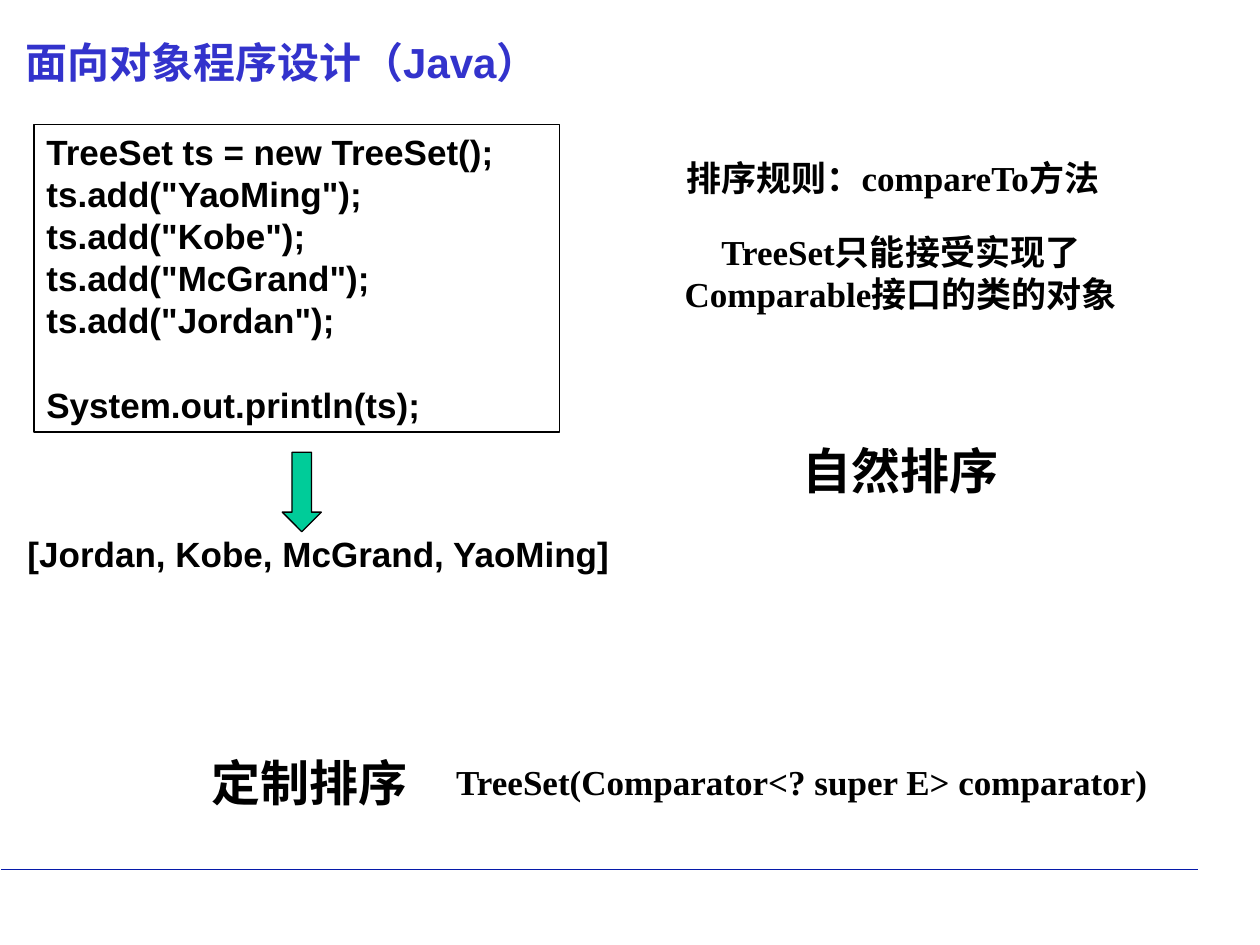
from dataclasses import dataclass

from lxml.etree import SubElement
from pptx import Presentation
from pptx.dml.color import RGBColor
from pptx.enum.shapes import MSO_CONNECTOR, MSO_SHAPE
from pptx.enum.text import MSO_ANCHOR, PP_ALIGN
from pptx.oxml.ns import qn
from pptx.util import Inches, Pt


@dataclass(frozen=True)
class Theme:
    title: RGBColor = RGBColor(0x33, 0x33, 0xCC)
    ink: RGBColor = RGBColor(0x00, 0x00, 0x00)
    arrow: RGBColor = RGBColor(0x00, 0xCC, 0x99)
    rule: RGBColor = RGBColor(0x06, 0x1A, 0xAA)
    sans: str = "Arial"
    serif: str = "Times New Roman"
    title_size: int = 24
    heading_size: int = 28
    body_size: int = 20
    code_pitch: int = 24


THEME = Theme()

CODE = [
    "TreeSet ts = new TreeSet();",
    'ts.add("YaoMing");',
    'ts.add("Kobe");',
    'ts.add("McGrand");',
    'ts.add("Jordan");',
    "System.out.println(ts);",
]


def place(shape, left, top, width, height):
    shape.left, shape.top = Inches(left), Inches(top)
    shape.width, shape.height = Inches(width), Inches(height)


def write(frame, lines, size=THEME.body_size, font=THEME.sans, color=THEME.ink,
          align=PP_ALIGN.LEFT, wrap=True, pitch=None):
    """Fill a text frame with bold lines, one paragraph each."""
    frame.word_wrap = wrap
    frame.vertical_anchor = MSO_ANCHOR.TOP
    frame.margin_left = frame.margin_right = Inches(0.1)
    frame.margin_top = frame.margin_bottom = Inches(0.05)
    for index, line in enumerate(lines):
        para = frame.add_paragraph() if index else frame.paragraphs[0]
        para.alignment = align
        para.space_before = Pt(0)
        if pitch:
            para.line_spacing = Pt(pitch)
        span = para.add_run()
        span.text = line
        span.font.size = Pt(size)
        span.font.name = font
        span.font.bold = True
        span.font.color.rgb = color


def add_title(slide, text):
    title = slide.shapes.title
    place(title, 0.1, 0.24, 9.22, 0.4)
    write(title.text_frame, [text], size=THEME.title_size, color=THEME.title)


def add_label(slide, text, left, top, width, height, **text_format):
    box = slide.shapes.add_textbox(0, 0, 0, 0)
    place(box, left, top, width, height)
    write(box.text_frame, [text], **text_format)


def add_outlined(slide, kind, left, top, width, height, fill=None):
    shape = slide.shapes.add_shape(kind, 0, 0, 0, 0)
    place(shape, left, top, width, height)
    shape.shadow.inherit = False
    shape.line.color.rgb = THEME.ink
    shape.line.width = Pt(0.75)
    if fill is None:
        shape.fill.background()
    else:
        shape.fill.solid()
        shape.fill.fore_color.rgb = fill
    return shape


def add_code(slide, lines):
    box = add_outlined(slide, MSO_SHAPE.RECTANGLE, 0.27, 0.99, 4.17, 2.44)
    write(box.text_frame, lines, pitch=THEME.code_pitch)
    # One line of space sets the print call apart
    box.text_frame.paragraphs[-1].space_before = Pt(THEME.code_pitch)


def add_rule(slide):
    rule = slide.shapes.add_connector(
        MSO_CONNECTOR.STRAIGHT, Inches(0.01), Inches(6.9), Inches(9.51), Inches(6.9))
    rule.line.color.rgb = THEME.rule
    rule.line.width = Pt(1)
    SubElement(rule.element.spPr, qn("a:effectLst"))


def main():
    deck = Presentation()
    deck.slide_width, deck.slide_height = Inches(10), Inches(7.5)
    slide = deck.slides.add_slide(deck.slide_layouts[5])

    # Page frame
    add_rule(slide)
    add_title(slide, "面向对象程序设计（Java）")

    # Code and its output
    add_code(slide, CODE)
    add_label(slide, "[Jordan, Kobe, McGrand, YaoMing]", 0.12, 4.18, 4.96, 0.44)
    add_outlined(slide, MSO_SHAPE.DOWN_ARROW, 2.24, 3.59, 0.31, 0.63, fill=THEME.arrow)

    # Explanations
    note = {"font": THEME.serif, "align": PP_ALIGN.CENTER}
    add_label(slide, "排序规则：compareTo方法", 5, 1.19, 4.17, 0.44, **note)
    add_label(slide, "TreeSet只能接受实现了Comparable接口的类的对象",
              4.92, 1.78, 4.46, 0.77, **note)
    add_label(slide, "TreeSet(Comparator<? super E> comparator)",
              3.5, 5.99, 5.73, 0.44, **note)

    # Names of the two sort orders
    heading = {"size": THEME.heading_size, "wrap": False}
    add_label(slide, "自然排序", 6.27, 3.45, 1.75, 0.57, **heading)
    add_label(slide, "定制排序", 1.58, 5.92, 1.75, 0.57, **heading)

    deck.save("out.pptx")


if __name__ == "__main__":
    main()
